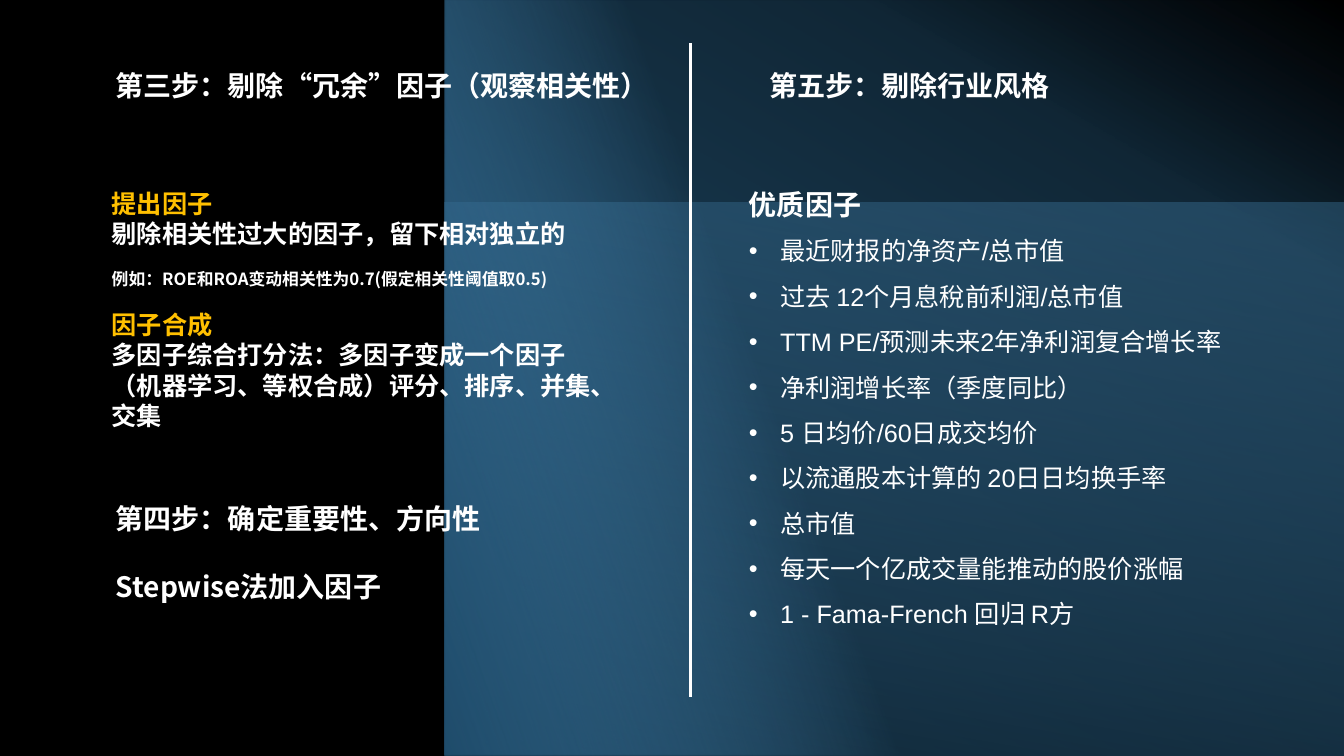
from dataclasses import dataclass

from lxml.etree import SubElement
from pptx import Presentation
from pptx.dml.color import RGBColor
from pptx.enum.shapes import MSO_CONNECTOR, MSO_SHAPE
from pptx.enum.text import MSO_AUTO_SIZE
from pptx.oxml.ns import qn
from pptx.slide import Slide
from pptx.util import Inches, Pt

WHITE, GOLD = "FFFFFF", "FFC000"
CJK_FONT = "Noto Sans CJK SC"
LINE_FACTOR = 1.2
BULLET_INDENT = 0.31


@dataclass(frozen=True)
class Stop:
    position: int
    color: str
    opacity: int = 100


@dataclass(frozen=True)
class Panel:
    bounds: tuple[float, float, float, float]
    angle: int
    stops: tuple[Stop, ...]
    rotation: int = 0
    flipped: bool = False


@dataclass(frozen=True)
class Line:
    text: str
    size: int = 18
    color: str = WHITE
    bold: bool = True
    font: str = CJK_FONT
    before: float = 0
    spacing: float = 1
    bullet: bool = False


@dataclass(frozen=True)
class TextBlock:
    bounds: tuple[float, float, float, float]
    lines: tuple[Line, ...]


PANELS = (
    Panel((4.42, 0, 8.92, 7.5), 300,
          (Stop(2, "1F4C6B"), Stop(78, "102635"), Stop(100, "000000", 85))),
    Panel((4.41, 2.01, 8.92, 5.49), 80,
          (Stop(0, "529BCD", 30), Stop(100, "000000", 44)), flipped=True),
    Panel((4.44, -0.04, 7.5, 7.57), 110,
          (Stop(56, "529BCD", 0), Stop(100, "1F4C6B")), rotation=90, flipped=True),
)

QUALITY_FACTORS = (
    "最近财报的净资产/总市值",
    "过去 12个月息稅前利润/总市值",
    "TTM PE/预测未来2年净利润复合增长率",
    "净利润增长率（季度同比）",
    "5 日均价/60日成交均价",
    "以流通股本计算的 20日日均换手率",
    "总市值",
    "每天一个亿成交量能推动的股价涨幅",
    "1 - Fama-French 回归 R方",
)

FACTOR_SELECTION = TextBlock((1.01, 1.82, 5.15, 2.52), (
    Line("提出因子", color=GOLD),
    Line("剔除相关性过大的因子，留下相对独立的"),
    Line("例如：ROE和ROA变动相关性为0.7(假定相关性阈值取0.5)", size=12, before=14.4),
    Line("因子合成", color=GOLD, before=14.4),
    Line("多因子综合打分法：多因子变成一个因子（机器学习、等权合成）评分、排序、并集、交集"),
))
STEP_THREE = TextBlock((1.05, 0.63, 6.67, 0.44), (
    Line("第三步：剔除“冗余”因子（观察相关性）", size=20),
))
STEP_FOUR = TextBlock((1.05, 4.93, 4.78, 1.11), (
    Line("第四步：确定重要性、方向性", size=20),
    Line("Stepwise法加入因子", size=20, before=24),
))
STEP_FIVE = TextBlock((7.53, 0.63, 6.67, 0.44), (
    Line("第五步：剔除行业风格", size=20),
))
FACTOR_LIST = TextBlock((7.33, 1.64, 5.08, 4.64), (
    Line("优质因子", size=20, font="Arial", spacing=1.5),
    *(Line(factor, bold=False, font="Arial", spacing=1.5, bullet=True)
      for factor in QUALITY_FACTORS),
))


def rgb(color: str) -> RGBColor:
    return RGBColor.from_string(color)


def fill_gradient(shape, panel: Panel) -> None:
    shape.fill.background()
    properties = shape._element.spPr
    no_fill = properties.find(qn("a:noFill"))
    gradient = SubElement(properties, qn("a:gradFill"), rotWithShape="1")
    properties.replace(no_fill, gradient)
    stop_list = SubElement(gradient, qn("a:gsLst"))
    for stop in panel.stops:
        entry = SubElement(stop_list, qn("a:gs"), pos=str(stop.position * 1000))
        color = SubElement(entry, qn("a:srgbClr"), val=stop.color)
        if stop.opacity < 100:
            SubElement(color, qn("a:alpha"), val=str(stop.opacity * 1000))
    SubElement(gradient, qn("a:lin"), ang=str(panel.angle * 60000), scaled="0")


def add_panel(page: Slide, panel: Panel) -> None:
    shape = page.shapes.add_shape(MSO_SHAPE.RECTANGLE, *map(Inches, panel.bounds))
    shape.shadow.inherit = False
    shape.line.fill.background()
    shape.rotation = panel.rotation
    if panel.flipped:
        shape._element.spPr.find(qn("a:xfrm")).set("flipH", "1")
    fill_gradient(shape, panel)


def add_bullet(para) -> None:
    properties = para._p.get_or_add_pPr()
    properties.set("marL", str(Inches(BULLET_INDENT)))
    properties.set("indent", str(-Inches(BULLET_INDENT)))
    SubElement(properties, qn("a:buFont"), typeface="Arial")
    SubElement(properties, qn("a:buChar"), char="•")


def write_line(para, line: Line) -> None:
    para.line_spacing = Pt(line.size * LINE_FACTOR * line.spacing)
    para.space_before = Pt(line.before)
    if line.bullet:
        add_bullet(para)
    span = para.add_run()
    span.text = line.text
    span.font.color.rgb = rgb(line.color)
    formats = {"size": Pt(line.size), "bold": line.bold, "name": line.font}
    for name, value in formats.items():
        setattr(span.font, name, value)
    SubElement(span._r.get_or_add_rPr(), qn("a:ea"), typeface=CJK_FONT)


def add_text(page: Slide, block: TextBlock) -> None:
    box = page.shapes.add_textbox(*map(Inches, block.bounds))
    frame = box.text_frame
    formats = {"word_wrap": True, "auto_size": MSO_AUTO_SIZE.SHAPE_TO_FIT_TEXT}
    for name, value in formats.items():
        setattr(frame, name, value)
    for index, line in enumerate(block.lines):
        para = frame.add_paragraph() if index else frame.paragraphs[0]
        write_line(para, line)


def add_divider(page: Slide) -> None:
    divider = page.shapes.add_connector(
        MSO_CONNECTOR.STRAIGHT, *map(Inches, (6.85, 0.43, 6.85, 6.91)))
    divider.line.color.rgb = rgb(WHITE)
    divider.line.width = Pt(2.25)
    SubElement(divider._element.spPr, qn("a:effectLst"))


def main() -> None:
    deck = Presentation()
    deck.slide_width, deck.slide_height = Inches(13.33), Inches(7.5)
    page = deck.slides.add_slide(deck.slide_layouts[6])
    page.background.fill.solid()
    page.background.fill.fore_color.rgb = rgb("000000")
    for panel in PANELS:
        add_panel(page, panel)
    for block in (FACTOR_SELECTION, STEP_THREE):
        add_text(page, block)
    add_divider(page)
    for block in (STEP_FOUR, STEP_FIVE, FACTOR_LIST):
        add_text(page, block)
    deck.save("out.pptx")


if __name__ == "__main__":
    main()
